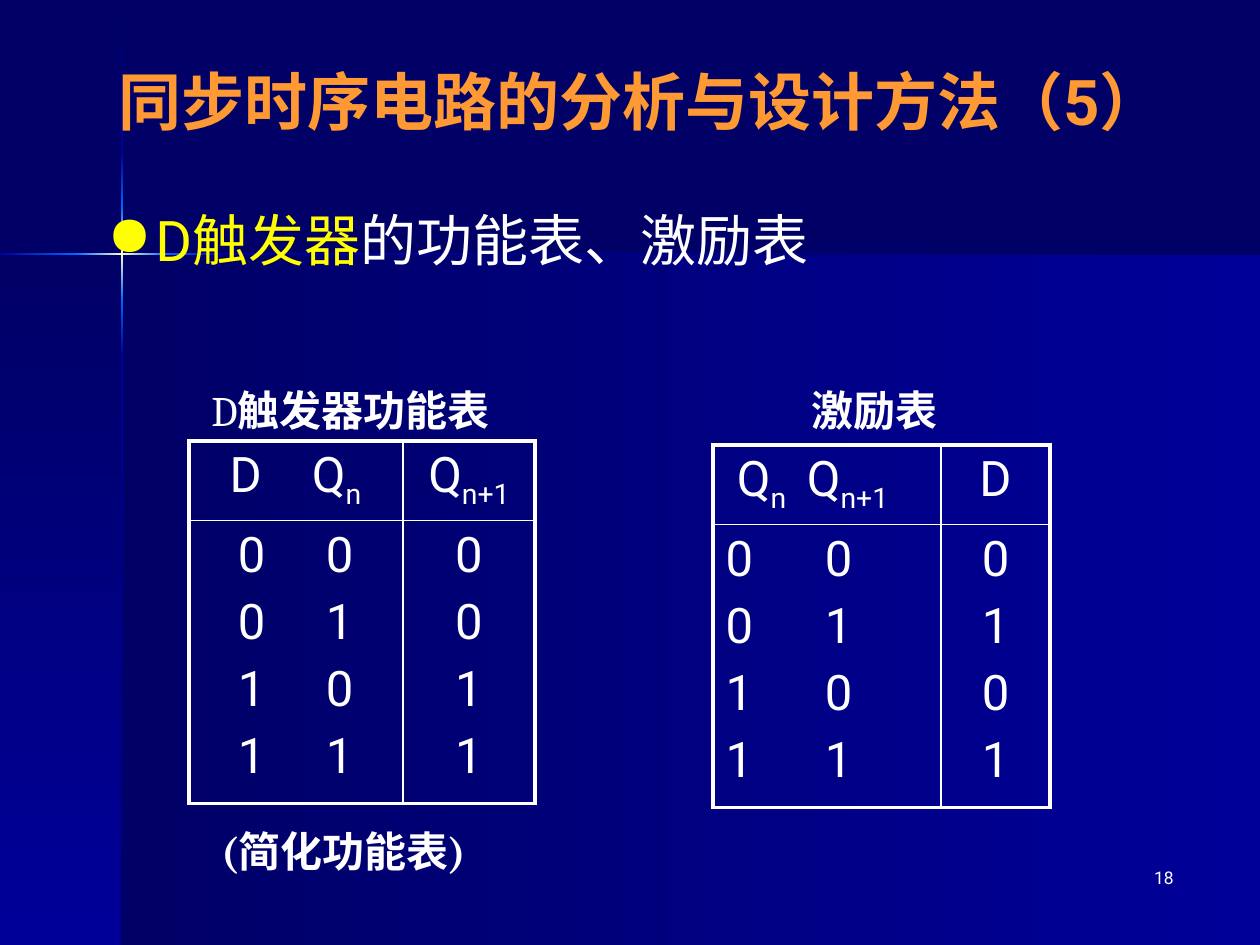
from dataclasses import dataclass

import lxml.etree
import pptx
import pptx.dml.color
import pptx.enum.shapes
import pptx.enum.text
import pptx.oxml.ns
import pptx.util

RGB = pptx.dml.color.RGBColor
NIGHT = RGB(0x00, 0x00, 0x66)
NAVY = RGB(0x00, 0x00, 0x99)
BLUE = RGB(0x00, 0x66, 0xFF)
CREAM = RGB(0xFF, 0xFF, 0xCC)
WHITE = RGB(0xFF, 0xFF, 0xFF)
YELLOW = RGB(0xFF, 0xFF, 0x00)
ORANGE = RGB(0xFF, 0x99, 0x33)
ALIGN = pptx.enum.text.PP_ALIGN
ANCHOR = pptx.enum.text.MSO_ANCHOR
SANS, SERIF = "Roboto", "Cambria"
PX_PER_INCH = 126
THICK, THIN = 2.25, 1
TABLE_SIZE = 28


@dataclass
class Box:
    left: int
    top: int
    width: int
    height: int


@dataclass
class Span:
    text: str
    color: RGB = WHITE
    bold: bool = False
    subscript: bool = False


@dataclass
class Band:
    box: Box
    colors: list[RGB]
    vertical: bool = False


@dataclass
class Label:
    box: Box
    spans: list[Span]
    size: float
    font: str = SANS
    align: ALIGN = ALIGN.LEFT
    anchor: ANCHOR = ANCHOR.TOP
    hanging: int = 0
    indent: int = 0


@dataclass
class TruthTable:
    box: Box
    columns: list[int]
    rows: list[int]
    inputs: list[Span]
    output: list[Span]
    states: list[str]
    results: str
    header_tabs: list[int]
    state_tabs: list[int]


def px(length: int) -> int:
    return round(length * 914400 / PX_PER_INCH)


def place(box: Box) -> list[int]:
    return [px(v) for v in (box.left, box.top, box.width, box.height)]


def set_format(target, values: dict) -> None:
    for name, value in values.items():
        setattr(target, name, value)


def add_child(parent, tag: str, **attributes: str):
    return lxml.etree.SubElement(parent, pptx.oxml.ns.qn(tag), attributes)


def add_spans(paragraph, spans: list[Span], size: float, font: str) -> None:
    for span in spans:
        run = paragraph.add_run()
        run.text = span.text
        set_format(run.font, {"name": font, "size": pptx.util.Pt(size), "bold": span.bold})
        run.font.color.rgb = span.color
        if span.subscript:
            run.font._element.set("baseline", "-25000")


def draw_band(slide, band: Band) -> None:
    shape = slide.shapes.add_shape(pptx.enum.shapes.MSO_SHAPE.RECTANGLE, *place(band.box))
    shape.shadow.inherit = False
    shape.line.fill.background()
    shape.fill.gradient()
    shape.fill.gradient_angle = 270 if band.vertical else 0
    stop_list = shape._element.spPr.find(".//" + pptx.oxml.ns.qn("a:gsLst"))
    for stop in list(stop_list):
        stop_list.remove(stop)
    for index, color in enumerate(band.colors):
        position = index * 100000 // (len(band.colors) - 1)
        stop = add_child(stop_list, "a:gs", pos=str(position))
        add_child(stop, "a:srgbClr", val=str(color))


def draw_label(slide, label: Label) -> None:
    frame = slide.shapes.add_textbox(*place(label.box)).text_frame
    set_format(frame, {"word_wrap": True, "vertical_anchor": label.anchor})
    paragraph = frame.paragraphs[0]
    paragraph.alignment = label.align
    properties = paragraph._p.get_or_add_pPr()
    if label.hanging:
        properties.set("marL", str(px(label.hanging)))
        properties.set("indent", str(-px(label.hanging)))
        add_child(add_child(properties, "a:buClr"), "a:srgbClr", val=str(YELLOW))
        add_child(properties, "a:buChar", char="●")
    if label.indent:
        properties.set("indent", str(px(label.indent)))
    add_spans(paragraph, label.spans, label.size, label.font)


def fill_cell(cell, lines: list[list[Span]], tabs: list[int], borders: dict) -> None:
    for index, spans in enumerate(lines):
        frame = cell.text_frame
        paragraph = frame.add_paragraph() if index else frame.paragraphs[0]
        if tabs:
            tab_list = add_child(paragraph._p.get_or_add_pPr(), "a:tabLst")
            for tab in tabs:
                add_child(tab_list, "a:tab", pos=str(px(tab)), algn="ctr")
        paragraph.alignment = ALIGN.LEFT if tabs else ALIGN.CENTER
        paragraph.space_before = pptx.util.Pt(TABLE_SIZE / 5 if index else 0)
        add_spans(paragraph, spans, TABLE_SIZE, SANS)
    properties = cell._tc.get_or_add_tcPr()
    for side, width in borders.items():
        line = add_child(properties, "a:ln" + side, w=str(pptx.util.Pt(width)))
        add_child(add_child(line, "a:solidFill"), "a:srgbClr", val=str(WHITE))
    cell.fill.background()


def draw_table(slide, truth: TruthTable) -> None:
    table = slide.shapes.add_table(2, 2, *place(truth.box)).table
    set_format(table, {"first_row": False, "horz_banding": False})
    for column, width in zip(table.columns, truth.columns):
        column.width = px(width)
    for row, height in zip(table.rows, truth.rows):
        row.height = px(height)
    states = [[Span("\t" + "\t".join(state))] for state in truth.states]
    results = [[Span(result)] for result in truth.results]
    contents = [
        [([truth.inputs], truth.header_tabs), ([truth.output], [])],
        [(states, truth.state_tabs), (results, [])],
    ]
    for r, row in enumerate(contents):
        for c, (lines, tabs) in enumerate(row):
            borders = {
                "L": THIN if c else THICK,
                "R": THICK if c else THIN,
                "T": THIN if r else THICK,
                "B": THICK if r else THIN,
            }
            fill_cell(table.cell(r, c), lines, tabs, borders)


BANDS = [
    Band(Box(122, 255, 1138, 690), [NIGHT, NAVY]),
    Band(Box(0, 255, 122, 690), [NIGHT, NAVY], True),
    Band(Box(121, 1, 2, 151), [NIGHT, NAVY], True),
    Band(Box(121, 355, 2, 590), [NAVY, NIGHT], True),
    Band(Box(223, 253, 1037, 2), [NAVY, NIGHT]),
    Band(Box(121, 300, 2, 55), [BLUE, NAVY], True),
    Band(Box(121, 152, 2, 56), [NAVY, BLUE], True),
    Band(Box(121, 208, 2, 92), [BLUE, CREAM, BLUE], True),
    Band(Box(0, 253, 76, 2), [NAVY, BLUE]),
    Band(Box(168, 253, 55, 2), [BLUE, NAVY]),
    Band(Box(76, 253, 92, 2), [BLUE, CREAM, BLUE]),
]
LABELS = [
    Label(Box(924, 861, 262, 63), [Span("18")], 10, align=ALIGN.RIGHT),
    Label(Box(42, 42, 1197, 116), [Span("同步时序电路的分析与设计方法（5）", ORANGE, True)], 36,
          align=ALIGN.CENTER, anchor=ANCHOR.MIDDLE),
    Label(Box(95, 199, 1092, 640), [Span("D触发器", YELLOW), Span("的功能表、激励表")], 32, hanging=48),
    Label(Box(199, 378, 325, 63), [Span("D"), Span("触发器功能表", bold=True)], 24, SERIF),
    Label(Box(199, 819, 287, 63), [Span("(简化功能表)", bold=True)], 24, SERIF, indent=10),
    Label(Box(799, 378, 188, 63), [Span("激励表", bold=True)], 24, SERIF),
]
NOW = Span("n", subscript=True)
NEXT = Span("n+1", subscript=True)
STATES = ["00", "01", "10", "11"]
TABLES = [
    TruthTable(Box(189, 441, 346, 360), [214, 132], [77, 283], [Span("\tD\tQ"), NOW],
               [Span("Q"), NEXT], STATES, "0011", [44, 135], [50, 138]),
    TruthTable(Box(713, 445, 337, 361), [228, 109], [78, 283], [Span("\tQ"), NOW, Span("\tQ"), NEXT],
               [Span("D")], STATES, "0101", [36, 122], [12, 113]),
]


def main() -> None:
    presentation = pptx.Presentation()
    set_format(presentation, {"slide_width": px(1260), "slide_height": px(945)})
    slide = presentation.slides.add_slide(presentation.slide_layouts[6])
    slide.background.fill.solid()
    slide.background.fill.fore_color.rgb = NIGHT
    for band in BANDS:
        draw_band(slide, band)
    for label in LABELS:
        draw_label(slide, label)
    for truth in TABLES:
        draw_table(slide, truth)
    presentation.save("out.pptx")


if __name__ == "__main__":
    main()
